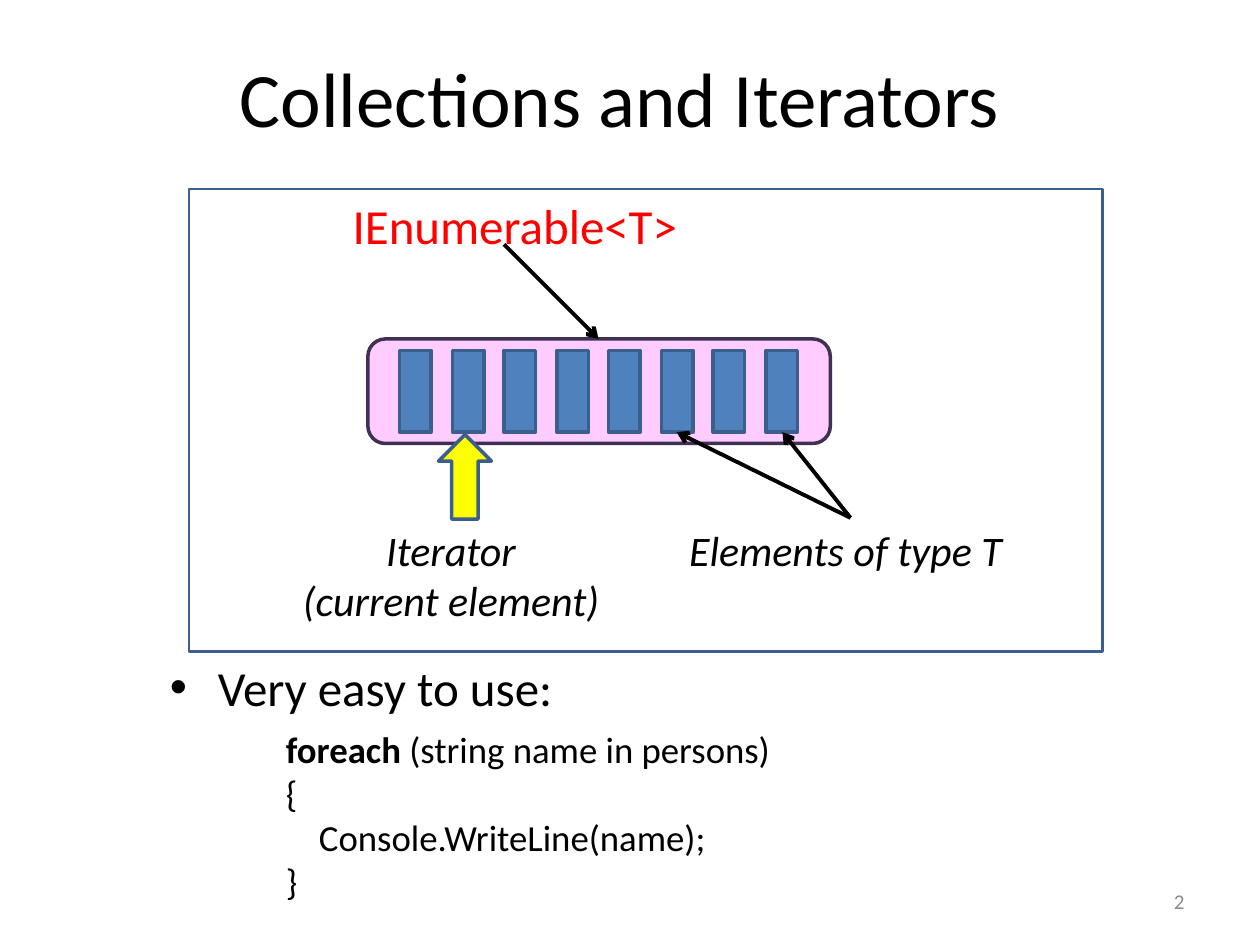
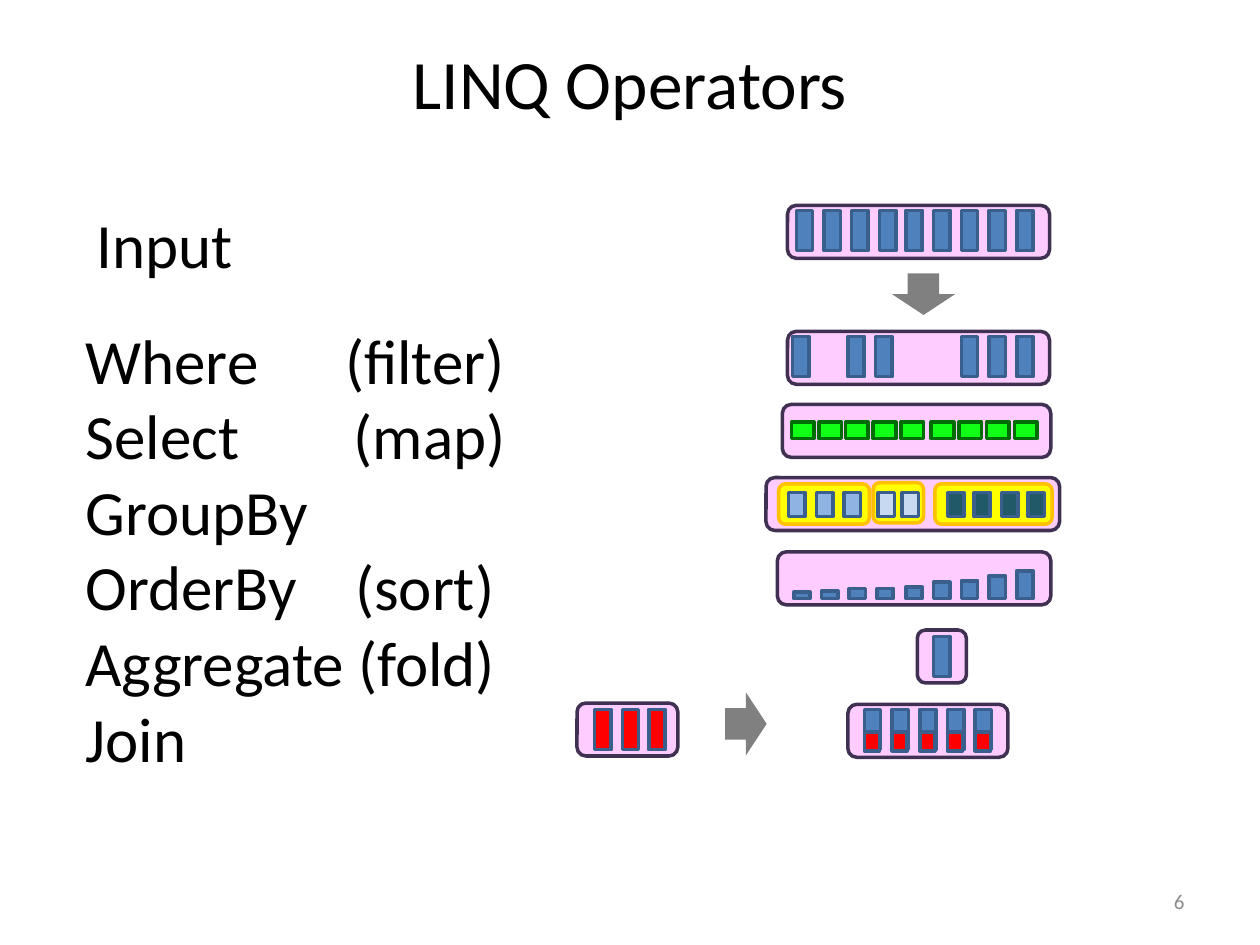
from collections import namedtuple

from lxml.etree import SubElement
from pptx import Presentation
from pptx.dml.color import RGBColor
from pptx.enum.shapes import MSO_CONNECTOR as Connector, MSO_SHAPE as Shape
from pptx.enum.text import MSO_ANCHOR as Anchor, MSO_AUTO_SIZE as AutoSize, PP_ALIGN as Align
from pptx.oxml.ns import qn
from pptx.util import Pt

PX = 9144
FONT = "Calibri"
TITLE_ONLY = 5

BLACK = RGBColor(0x00, 0x00, 0x00)
RED = RGBColor(0xFF, 0x00, 0x00)
GRAY = RGBColor(0x80, 0x80, 0x80)
NUMBER_GRAY = RGBColor(0x8C, 0x8C, 0x8C)
PINK = RGBColor(0xFF, 0xCC, 0xFF)
PURPLE = RGBColor(0x40, 0x31, 0x52)
BLUE = RGBColor(0x4F, 0x81, 0xBD)
BLUE_EDGE = RGBColor(0x3A, 0x5F, 0x8C)
LIGHT_BLUE = RGBColor(0x8E, 0xB4, 0xE3)
PALE_BLUE = RGBColor(0xC6, 0xD9, 0xF1)
TEAL = RGBColor(0x21, 0x59, 0x68)
YELLOW = RGBColor(0xFF, 0xFF, 0x00)
GOLD = RGBColor(0xFF, 0xC0, 0x00)
GREEN = RGBColor(0x11, 0xFF, 0x17)
GREEN_EDGE = RGBColor(0x00, 0x6C, 0x05)


class Box(namedtuple("Box", "left top width height")):
    def inner(self, left, top, width, height):
        return Box(self.left + left, self.top + top, width, height)

    def emu(self):
        return [length * PX for length in self]


def spread(first, last, count):
    return [round(first + (last - first) * i / (count - 1)) for i in range(count)]


def style_runs(para, size, color=BLACK, italic=False):
    for span in para.runs:
        font = span.font
        font.name, font.size, font.italic = FONT, Pt(size), italic
        font.color.rgb = color


def add_text(page, box, lines, size, color=BLACK, align=Align.LEFT, italic=False, anchor=Anchor.TOP):
    frame = page.shapes.add_textbox(*box.emu()).text_frame
    frame.word_wrap = True
    frame.vertical_anchor = anchor
    frame.text = "\n".join(lines)
    for para in frame.paragraphs:
        para.alignment = align
        style_runs(para, size, color, italic)
    return frame.paragraphs


def indent(para, margin, first=0):
    props = para._p.get_or_add_pPr()
    props.set("marL", str(margin * PX))
    props.set("indent", str(first * PX))
    return props


def add_bullet(para):
    props = indent(para, 38, -38)
    SubElement(props, qn("a:buFont"), typeface="Arial")
    SubElement(props, qn("a:buChar"), char="•")


def add_tab(para, position):
    tabs = SubElement(para._p.get_or_add_pPr(), qn("a:tabLst"))
    SubElement(tabs, qn("a:tab"), pos=str(position * PX), algn="l")


def add_shape(page, kind, box, fill=None, edge=None, weight=2):
    shape = page.shapes.add_shape(kind, *box.emu())
    shape.shadow.inherit = False
    if fill is None:
        shape.fill.background()
    else:
        shape.fill.solid()
        shape.fill.fore_color.rgb = fill
    if edge is None:
        shape.line.fill.background()
    else:
        shape.line.color.rgb = edge
        shape.line.width = Pt(weight)
    return shape


def add_arrow(page, box, start, end):
    ends = [box.left + start[0], box.top + start[1], box.left + end[0], box.top + end[1]]
    arrow = page.shapes.add_connector(Connector.STRAIGHT, *[length * PX for length in ends])
    arrow.line.color.rgb = BLACK
    arrow.line.width = Pt(2.25)
    SubElement(arrow.line._get_or_add_ln(), qn("a:tailEnd"), type="arrow")
    SubElement(arrow._element.spPr, qn("a:effectLst"))


def add_band(page, box, fill=PINK, edge=PURPLE):
    add_shape(page, Shape.ROUNDED_RECTANGLE, box, fill, edge)


def add_cells(page, box, lefts, top, width=13, height=32, fill=BLUE, edge=BLUE_EDGE):
    for left in lefts:
        add_shape(page, Shape.RECTANGLE, box.inner(left, top, width, height), fill, edge)


def add_collection(page, box, lefts, top, **cell_style):
    add_band(page, box)
    add_cells(page, box, lefts, top, **cell_style)


def add_page(deck, title, title_box, title_size, number):
    page = deck.slides.add_slide(deck.slide_layouts[TITLE_ONLY])
    holder = page.shapes.title
    holder.left, holder.top, holder.width, holder.height = title_box.emu()
    frame = holder.text_frame
    frame.text = title
    frame.auto_size = AutoSize.NONE
    frame.vertical_anchor = Anchor.MIDDLE
    frame.paragraphs[0].alignment = Align.CENTER
    style_runs(frame.paragraphs[0], title_size)
    add_text(page, Box(717, 695, 233, 40), [number], 12, NUMBER_GRAY, Align.RIGHT, anchor=Anchor.MIDDLE)
    return page


def draw_iterator_diagram(page, box):
    add_shape(page, Shape.RECTANGLE, box, edge=BLUE_EDGE, weight=1.5)
    label = add_text(page, box.inner(67, 0, 650, 60), ["IEnumerable<T>"], 28, RED)[0]
    indent(label, 53)
    add_collection(page, box.inner(142, 119, 367, 83), spread(25, 316, 8), 9, width=25, height=65)
    add_shape(page, Shape.UP_ARROW, box.inner(198, 195, 42, 67), YELLOW, BLUE_EDGE)
    add_text(page, box.inner(387, 261, 275, 50), ["Elements of type T"], 24, italic=True)
    add_text(page, box.inner(77, 261, 262, 91), ["Iterator", "(current element)"], 24,
             align=Align.CENTER, italic=True)
    add_arrow(page, box, (250, 44), (325, 119))
    for element in (387, 471):
        add_arrow(page, box, (525, 261), (element, 193))


def draw_usage(page, box):
    lines = ["Very easy to use:", "foreach (string name in persons)", "{", "    Console.WriteLine(name);", "}"]
    heading, loop, *rest = add_text(page, box, lines, 21)
    heading.space_after = Pt(6)
    add_bullet(heading)
    style_runs(heading, 28)
    keyword, tail = loop.runs[0].text.split(" ", 1)
    loop.runs[0].text = keyword
    loop.add_run().text = " " + tail
    style_runs(loop, 21)
    loop.runs[0].font.bold = True
    for para in (loop, *rest):
        indent(para, 92)


def draw_operator_names(page, box):
    add_text(page, box.inner(9, 0, 129, 71), ["Input"], 36)
    operators = [("Where\t(filter)", 206), ("Select\t(map)", 213), ("GroupBy", None),
                 ("OrderBy\t(sort)", 214), ("Aggregate (fold)", None), ("Join", None)]
    names = [name for name, _ in operators]
    paras = add_text(page, box.inner(0, 92, 365, 374), names, 36)
    for para, (_, tab) in zip(paras, operators):
        if tab:
            add_tab(para, tab)


def draw_groups(page, box):
    add_band(page, box)
    groups = [(10, 5, 72, spread(8, 52, 3), LIGHT_BLUE),
              (85, 4, 40, spread(4, 23, 2), PALE_BLUE),
              (134, 5, 93, spread(10, 74, 4), TEAL)]
    for left, top, width, lefts, fill in groups:
        group = box.inner(left, top, width, 32)
        add_band(page, group, YELLOW, GOLD)
        add_cells(page, group, lefts, 12 - top, height=19, fill=fill)


def draw_sorted(page, box):
    add_band(page, box)
    heights = [5, 6, 8, 8, 9, 13, 14, 18, 22]
    for left, height in zip(spread(13, 190, len(heights)), heights):
        add_cells(page, box, [left], 37 - height, height=height)


def draw_join(page, box):
    add_collection(page, box.inner(0, 0, 80, 42), spread(14, 57, 3), 5, fill=RED)
    add_shape(page, Shape.DOWN_ARROW, box.inner(109, 0, 50, 33), GRAY).rotation = 270
    joined = box.inner(215, 1, 127, 42)
    lefts = spread(13, 101, 5)
    add_collection(page, joined, lefts, 4)
    add_cells(page, joined, lefts, 22, width=12, height=15, fill=RED)


def draw_operator_results(page, box):
    add_collection(page, box.inner(17, 0, 208, 42), spread(7, 182, 9), 4)
    add_shape(page, Shape.DOWN_ARROW, box.inner(100, 54, 50, 33), GRAY)
    add_collection(page, box.inner(17, 100, 208, 42), [4, *spread(48, 70, 2), *spread(138, 182, 3)], 4)
    add_collection(page, box.inner(13, 158, 213, 42), spread(7, 94, 5) + spread(118, 184, 4), 14,
                   width=18, height=13, fill=GREEN, edge=GREEN_EDGE)
    draw_groups(page, box.inner(0, 216, 233, 42))
    draw_sorted(page, box.inner(9, 275, 217, 42))
    add_collection(page, box.inner(120, 337, 39, 42), [13], 5)


def main():
    deck = Presentation()
    deck.slide_width, deck.slide_height = 1000 * PX, 750 * PX

    iterators = add_page(deck, "Collections and Iterators", Box(42, 25, 900, 103), 44, "2")
    draw_iterator_diagram(iterators, Box(150, 150, 725, 367))
    draw_usage(iterators, Box(125, 517, 692, 207))

    operators = add_page(deck, "LINQ Operators", Box(50, 30, 900, 70), 39.6, "6")
    draw_operator_names(operators, Box(58, 158, 365, 466))
    draw_operator_results(operators, Box(608, 163, 233, 379))
    draw_join(operators, Box(458, 558, 342, 43))

    deck.save("out.pptx")


if __name__ == "__main__":
    main()
